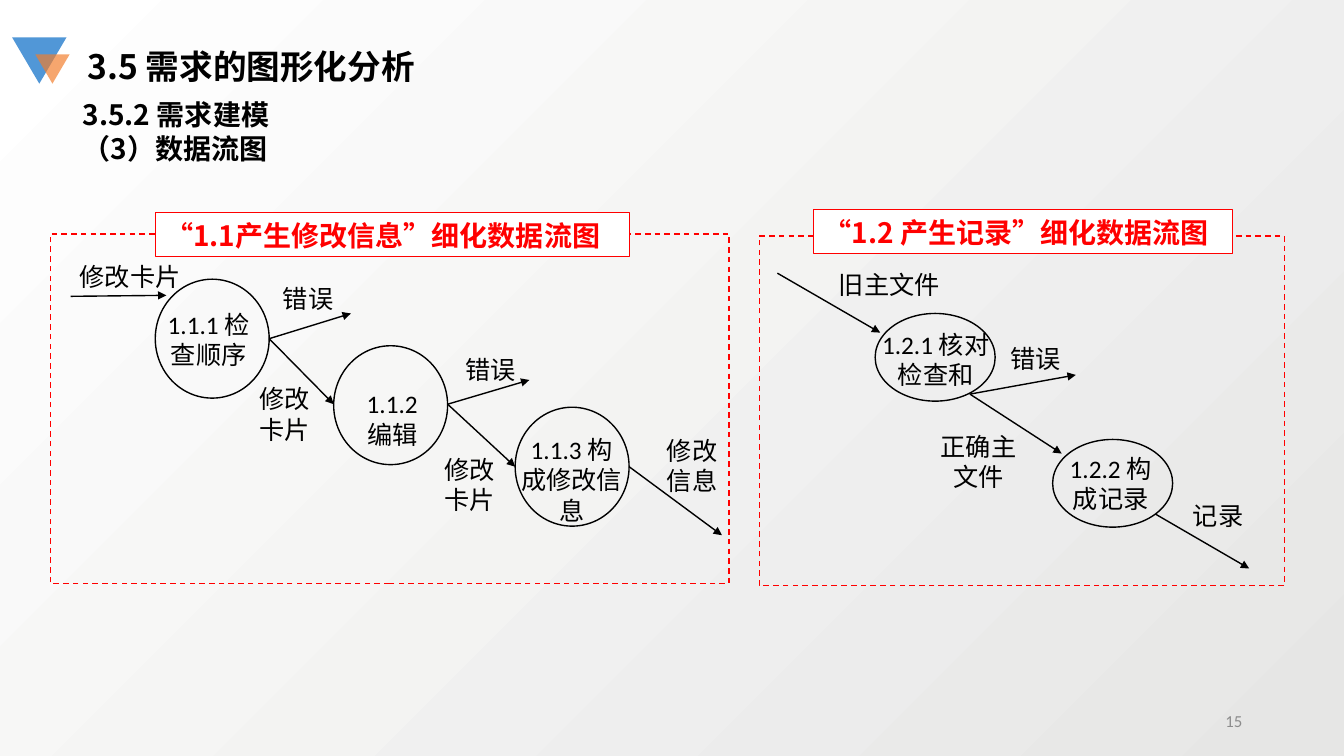
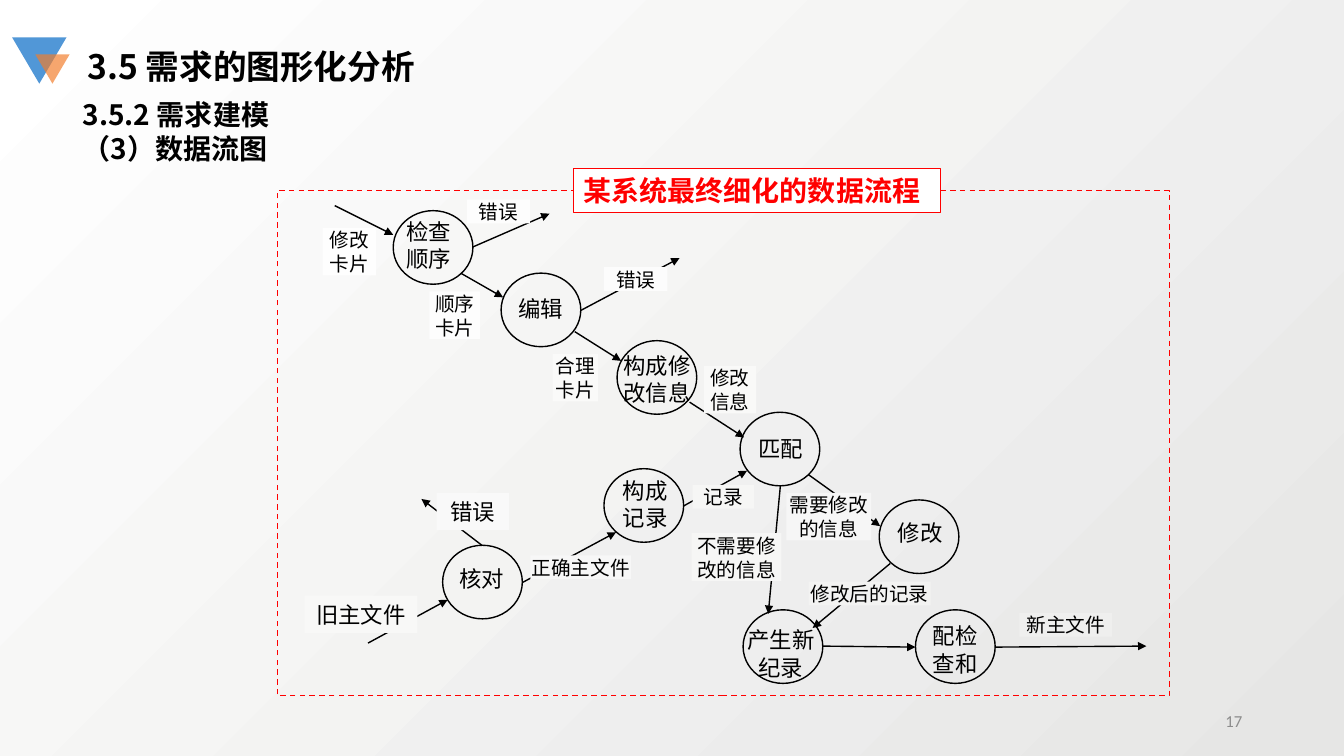
from lxml import etree
from pptx import Presentation
from pptx.dml.color import RGBColor
from pptx.enum.dml import MSO_LINE
from pptx.enum.shapes import MSO_CONNECTOR, MSO_SHAPE
from pptx.enum.text import MSO_ANCHOR, MSO_AUTO_SIZE, PP_ALIGN
from pptx.oxml.ns import qn
from pptx.util import Inches, Pt

DASH = MSO_LINE.DASH
STRAIGHT = MSO_CONNECTOR.STRAIGHT
OVAL, RECTANGLE, TRIANGLE = MSO_SHAPE.OVAL, MSO_SHAPE.RECTANGLE, MSO_SHAPE.ISOSCELES_TRIANGLE
TOP, MIDDLE = MSO_ANCHOR.TOP, MSO_ANCHOR.MIDDLE
LEFT, CENTER, RIGHT = PP_ALIGN.LEFT, PP_ALIGN.CENTER, PP_ALIGN.RIGHT

CELL = Inches(0.1)
SANS, LATIN = "Noto Sans CJK SC", "Calibri"
BLACK, RED, WHITE, GREY = "000000", "FF0000", "FFFFFF", "8C8C8C"
PADDED, FLUSH, OPEN_RIGHT = (1, 0.5, 1, 0.5), (0, 0, 0, 0), (1, 0.5, 0, 0.5)


def rgb(value):
    """Turn a hex string into a colour."""
    return RGBColor.from_string(value)


def cells(*values):
    """Turn grid columns or rows into lengths."""
    return [round(value * CELL) for value in values]


class Painter:
    """Hold the style and the current slide, and draw on a 0.1 inch grid."""

    def __init__(self):
        """Start the deck with its size and background."""
        self.deck = Presentation()
        self.deck.slide_width, self.deck.slide_height = Inches(13.33), Inches(7.5)
        self.page = None
        fill = self.deck.slide_master.background.fill
        fill.gradient()
        fill.gradient_angle = 135
        for stop, color in zip(fill.gradient_stops, ("E6E6E5", WHITE)):
            stop.color.rgb = rgb(color)

    def start(self, number):
        """Add a slide with the emblem, headings and page number."""
        self.page = self.deck.slides.add_slide(self.deck.slide_layouts[1])
        self.emblem((1.2, 3.7, 5.4, 4.6), "5197D7")
        self.emblem((3.5, 5.4, 3.4, 2.9), "F37D2A", 68)
        title, body = self.page.placeholders
        self.place(title, (7.7, 4, 35.3, 5))
        self.put_words(title, "3.5 需求的图形化分析", 24, bold=True, align=LEFT,
                       insets=OPEN_RIGHT)
        self.place(body, (7.2, 9.1, 84.9, 7.7))
        body.text_frame.text = "3.5.2 需求建模\n（3）数据流图"
        for para in body.text_frame.paragraphs:
            settings = para._p.get_or_add_pPr()
            settings.set("marL", "0")
            settings.set("indent", "0")
            etree.SubElement(settings, qn("a:buNone"))
        self.style(body, 20, bold=True, align=LEFT)
        self.text((94.2, 69.5, 30, 4), str(number), 12, font=LATIN, color=GREY,
                  align=RIGHT, anchor=MIDDLE)

    def place(self, shape, box):
        """Move and size a shape by grid cells."""
        shape.left, shape.top, shape.width, shape.height = cells(*box)

    def put_words(self, shape, words, size, **look):
        """Put styled words into a shape."""
        shape.text_frame.text = words
        self.style(shape, size, **look)

    def style(self, shape, size, font=SANS, color=BLACK, bold=False, align=CENTER,
              anchor=TOP, insets=PADDED):
        """Format the text frame of a shape and its runs."""
        frame = shape.text_frame
        frame.word_wrap = True
        frame.auto_size = MSO_AUTO_SIZE.NONE
        frame.vertical_anchor = anchor
        (frame.margin_left, frame.margin_top,
         frame.margin_right, frame.margin_bottom) = cells(*insets)
        for para in frame.paragraphs:
            para.alignment = align
            para.space_before = Pt(0)
            para.line_spacing = Pt(size * 1.22)
            for span in para.runs:
                span.font.size, span.font.bold, span.font.name = Pt(size), bold, font
                span.font.color.rgb = rgb(color)
                etree.SubElement(span._r.get_or_add_rPr(), qn("a:ea"), typeface=SANS)

    def text(self, box, words, size, **look):
        """Add a plain text box."""
        self.put_words(self.page.shapes.add_textbox(*cells(*box)), words, size, **look)

    def shape(self, kind, box, fill=None, line=None, weight=1):
        """Add a preset shape with optional fill and outline."""
        shape = self.page.shapes.add_shape(kind, *cells(*box))
        shape.shadow.inherit = False
        if fill:
            shape.fill.solid()
            shape.fill.fore_color.rgb = rgb(fill)
        else:
            shape.fill.background()
        if line:
            shape.line.color.rgb = rgb(line)
            shape.line.width = Pt(weight)
        else:
            shape.line.fill.background()
        return shape

    def emblem(self, box, fill, opacity=100):
        """Add a triangle that points down."""
        shape = self.shape(TRIANGLE, box, fill)
        shape.rotation = 180
        color = shape._element.spPr.find(qn("a:solidFill"))[0]
        etree.SubElement(color, qn("a:alpha"), val=str(opacity * 1000))

    def frame(self, box, caption_box, caption):
        """Add a dashed frame with its red caption."""
        self.shape(RECTANGLE, box, line=RED).line.dash_style = DASH
        self.label(caption_box, caption, 20, WHITE, RED, color=RED, bold=True,
                   align=LEFT, insets=OPEN_RIGHT)

    def label(self, box, words, size, fill, line=None, **look):
        """Add a filled rectangle with text."""
        self.put_words(self.shape(RECTANGLE, box, fill, line, 0.75), words, size, **look)

    def processes(self, size, corners):
        """Add equal process bubbles."""
        for corner in corners:
            self.shape(OVAL, (*corner, *size), line=BLACK)

    def flows(self, routes):
        """Add arrows given as start and end points."""
        for route in routes:
            arrow = self.page.shapes.add_connector(STRAIGHT, *cells(*route))
            arrow.line.color.rgb = rgb(BLACK)
            arrow.line.width = Pt(1)
            outline = arrow.line._get_or_add_ln()
            etree.SubElement(outline, qn("a:tailEnd"), type="triangle")
            etree.SubElement(arrow._element.spPr, qn("a:effectLst"))

    def names(self, size, font, entries):
        """Add text boxes whose height follows their number of lines."""
        for left, top, width, lines, words in entries:
            height = 1 + lines * size * 0.17
            self.text((left, top, width, height), words, size, font=font)


def refined_parts(painter):
    """Draw the two refined diagrams side by side."""
    painter.start(15)
    painter.processes((11.3, 11.8), [(15.4, 27.7), (33.1, 34.3), (51.1, 40.4)])
    painter.processes((11.9, 8.7), [(86.8, 31.1), (104.4, 43.6)])
    painter.flows([
        (7, 29.4, 16.5, 29.3), (26.7, 33.6, 34.8, 31.1), (26.7, 33.6, 33.1, 40.1),
        (44.4, 40.1, 52.5, 37.7), (44.4, 40.1, 51.1, 46.3), (62.4, 46.3, 71.6, 53.1),
        (77.1, 27.1, 87.3, 33), (96.2, 39.1, 105.3, 45), (96.2, 39.1, 106.7, 37.2),
        (114.6, 51, 123.9, 56.4),
    ])
    painter.names(18, LATIN, [
        (14.5, 30.1, 12.4, 2, "1.1.1 检查顺序"), (34, 38, 9.8, 2, "1.1.2 编辑"),
        (50.6, 42.5, 12.2, 3, "1.1.3 构成修改信息"), (23.8, 37.5, 8.9, 2, "修改卡片"),
        (26, 27.6, 9.1, 1, "错误"), (44.1, 34.6, 9.1, 1, "错误"),
        (4.6, 25.4, 16.6, 1, "修改卡片"), (42, 44.5, 9.1, 2, "修改卡片"),
        (64.1, 42.6, 9.1, 2, "修改信息"), (81.7, 26.2, 13, 1, "旧主文件"),
        (97.8, 33.5, 9.8, 1, "错误"), (91.9, 42.2, 10.3, 2, "正确主文件"),
        (115.9, 49.1, 9.8, 1, "记录"), (86.4, 32.1, 12.8, 2, "1.2.1 核对检查和"),
        (104.2, 44.4, 11.9, 2, "1.2.2 构成记录"),
    ])
    painter.frame((5, 23.2, 67.3, 34.7), (15.4, 21.1, 47, 4.4), "“1.1产生修改信息”细化数据流图")
    painter.frame((75.3, 23.4, 52.1, 34.7), (80.7, 20.8, 41.5, 4.4), "“1.2 产生记录”细化数据流图")


def final_flow(painter):
    """Draw the complete refined data flow."""
    painter.start(17)
    painter.processes((7.9, 7.3), [
        (39, 20.9), (49.7, 27.1), (61.2, 33.8), (73.4, 40.9), (87.2, 49.6),
        (59.9, 46.5), (73.7, 60.5), (90.8, 60.5), (43.9, 54.1),
    ])
    painter.flows([
        (33.2, 20.4, 39, 23.3), (46.9, 24.5, 54.5, 21.2), (45.7, 27.1, 49.9, 29.5),
        (57.6, 30.8, 67.4, 25.6), (57, 32.9, 61.6, 35.8), (68.4, 39.9, 73.8, 43.4),
        (80.2, 47.1, 87.3, 52.2), (67.8, 50.2, 74.1, 46.7), (51.8, 57.8, 61.1, 52.8),
        (81.6, 64.1, 90.8, 64.2), (98.7, 64.2, 113.7, 64.1), (77.4, 48.2, 76.2, 60.9),
        (88.3, 55.9, 80.6, 62.3), (47.8, 54.1, 41.8, 49.5), (36.5, 63.8, 44.4, 59.5),
    ])
    for left, top, width, lines, fill, words in [
        (32, 22.6, 5.3, 2, "FEFEFE", "修改卡片"), (42.6, 28.9, 5, 2, "FDFDFD", "顺序卡片"),
        (54.8, 35.1, 4.5, 2, "FAFAF9", "合理卡片"), (69.8, 36.3, 5.2, 2, "F9F9F8", "修改信息"),
        (78, 48.9, 8.4, 2, "F6F6F6", "需要修改的信息"), (46.3, 19.8, 6.3, 1, "FDFDFD", "错误"),
        (59.9, 26.5, 6.3, 1, "FCFCFC", "错误"), (68.7, 48.1, 6.1, 1, "F6F6F5", "记录"),
        (101.1, 60.8, 9.2, 1, "EFEFEE", "新主文件"), (80.2, 57.7, 12.1, 1, "F3F3F2", "修改后的记录"),
        (68.6, 52.9, 8.9, 2, "F6F6F5", "不需要修改的信息"), (52.6, 55.1, 10, 1, "F7F7F7", "正确主文件"),
    ]:
        painter.label((left, top, width, lines * 2.36), words, 14, fill, insets=FLUSH)
    painter.label((43.3, 48.9, 7.2, 3.7), "错误", 16, "F9F9F9")
    painter.label((30.2, 59.1, 11.2, 3.7), "旧主文件", 16, "F8F8F7")
    painter.names(16, SANS, [
        (39, 21.1, 7.1, 2, "检查顺序"), (48.9, 28.7, 9.5, 1, "编辑"),
        (60.4, 34.4, 9.5, 2, "构成修改信息"), (72.7, 42.6, 9.5, 1, "匹配"),
        (86.5, 51, 9.5, 1, "修改"), (60.4, 46.8, 7.2, 2, "构成记录"),
        (43, 55.5, 9.5, 1, "核对"), (72.7, 61.6, 9.5, 2, "产生新纪录"),
        (90.5, 61.2, 8.5, 2, "配检查和"),
    ])
    painter.frame((27.5, 18.9, 88.5, 50.1), (56.9, 16.7, 36.4, 4.4), "某系统最终细化的数据流程")


def main():
    """Build and save the deck."""
    painter = Painter()
    refined_parts(painter)
    final_flow(painter)
    painter.deck.save("out.pptx")


if __name__ == "__main__":
    main()
